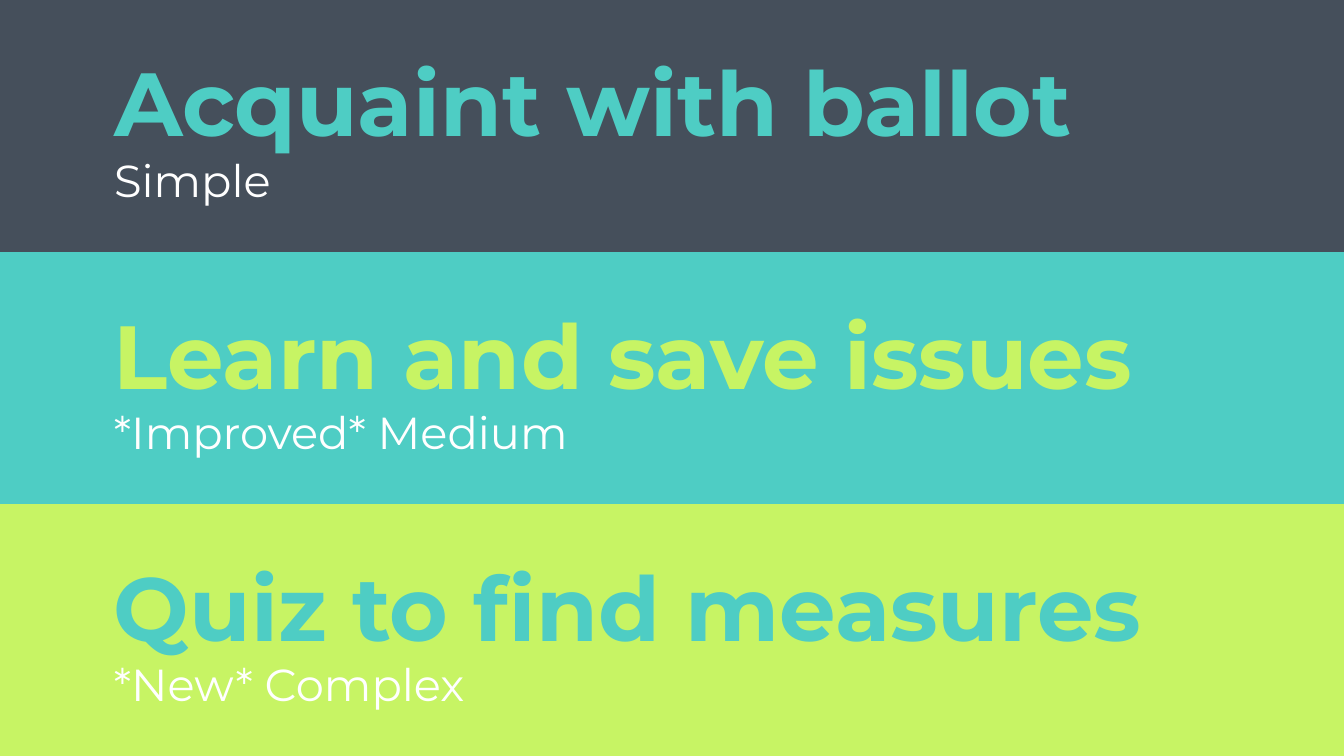
from pptx import Presentation
from pptx.dml.color import RGBColor
from pptx.enum.shapes import MSO_SHAPE
from pptx.enum.text import MSO_ANCHOR, MSO_AUTO_SIZE, PP_ALIGN
from pptx.util import Pt

RECTANGLE = MSO_SHAPE.RECTANGLE
TOP, BOTTOM = MSO_ANCHOR.TOP, MSO_ANCHOR.BOTTOM
NO_AUTOFIT = MSO_AUTO_SIZE.NONE
LEFT = PP_ALIGN.LEFT

SLATE = RGBColor(0x45, 0x4F, 0x5B)
TEAL = RGBColor(0x4E, 0xCD, 0xC4)
LIME = RGBColor(0xC7, 0xF4, 0x64)
WHITE = RGBColor(0xFF, 0xFF, 0xFF)

FONT = "Montserrat"
TASKS = [
    ("Acquaint with ballot", "Simple", TEAL),
    ("Learn and save issues", "*Improved* Medium", LIME),
    ("Quiz to find measures", "*New* Complex", TEAL),
]
BANDS = [SLATE, TEAL]
BACKGROUND = LIME

SLIDE_W, SLIDE_H = 1344, 756
BAND_H = SLIDE_H // len(TASKS)
TEXT_X, TEXT_W = 101, 1142
TASK_DY, TASK_H = 36, 132
LEVEL_DY, LEVEL_H = 140, 69
INSET = 13


def px(length):
    return round(length * 914400 / 134.4)


def write(holder, text, *, top, height, size, color, bold=False, anchor=TOP):
    holder.left, holder.top = px(TEXT_X), px(top)
    holder.width, holder.height = px(TEXT_W), px(height)
    frame = holder.text_frame
    frame.text = text
    frame.word_wrap = True
    frame.auto_size = NO_AUTOFIT
    frame.vertical_anchor = anchor
    frame.margin_left = frame.margin_right = px(INSET)
    frame.margin_top = frame.margin_bottom = px(INSET)
    paragraph = frame.paragraphs[0]
    paragraph.alignment = LEFT
    paragraph.space_before = Pt(0)
    font = paragraph.runs[0].font
    font.name, font.size, font.bold = FONT, Pt(size), bold
    font.color.rgb = color


def main():
    deck = Presentation()
    deck.slide_width, deck.slide_height = px(SLIDE_W), px(SLIDE_H)
    slide = deck.slides.add_slide(deck.slide_layouts[0])
    slide.background.fill.solid()
    slide.background.fill.fore_color.rgb = BACKGROUND
    title, subtitle = slide.placeholders

    for row, color in enumerate(BANDS):
        band = slide.shapes.add_shape(
            RECTANGLE, 0, px(row * BAND_H), px(SLIDE_W), px(BAND_H))
        band.shadow.inherit = False
        band.fill.solid()
        band.fill.fore_color.rgb = color
        band.line.fill.background()
        title.element.addprevious(band.element)

    for row, (task, level, color) in enumerate(TASKS):
        if row == 0:
            heading, caption = title, subtitle
        else:
            heading, caption = (
                slide.shapes.add_textbox(0, 0, 0, 0) for _ in range(2))
        top = row * BAND_H
        write(heading, task, top=top + TASK_DY, height=TASK_H,
              size=48, color=color, bold=True, anchor=BOTTOM)
        write(caption, level, top=top + LEVEL_DY, height=LEVEL_H,
              size=24, color=WHITE)

    deck.save("out.pptx")


if __name__ == "__main__":
    main()
